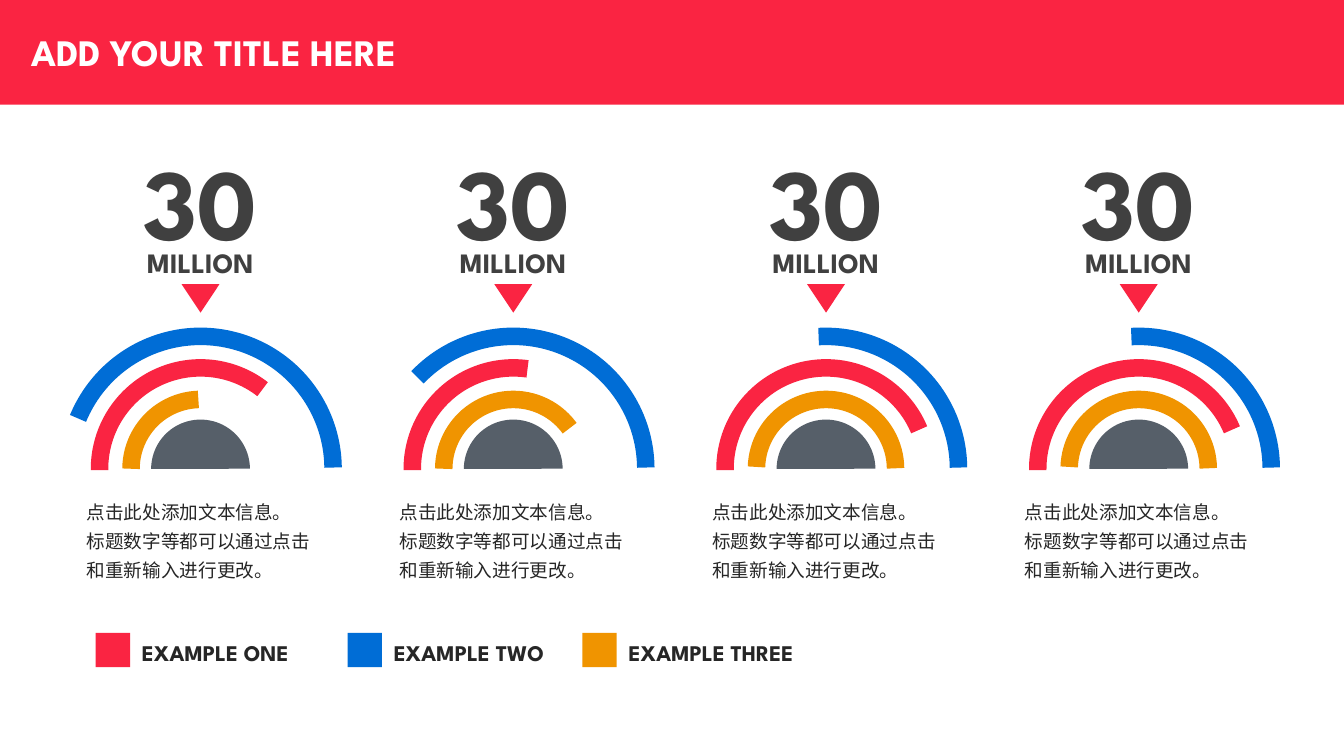
from lxml import etree
from pptx import Presentation
from pptx.dml.color import RGBColor
from pptx.enum.shapes import MSO_SHAPE
from pptx.enum.text import MSO_ANCHOR, PP_ALIGN
from pptx.oxml.ns import qn
from pptx.util import Pt

RECTANGLE, TRIANGLE = MSO_SHAPE.RECTANGLE, MSO_SHAPE.ISOSCELES_TRIANGLE
ARC, PIE = MSO_SHAPE.ARC, MSO_SHAPE.PIE
LEFT, CENTER = PP_ALIGN.LEFT, PP_ALIGN.CENTER
TOP, MIDDLE = MSO_ANCHOR.TOP, MSO_ANCHOR.MIDDLE

LATIN, CHINESE = "League Spartan", "Noto Sans CJK SC"
RED, BLUE, ORANGE = "FA2442", "006DD6", "F09400"
SLATE, GRAY, DARK, WHITE = "565F69", "404040", "262626", "FFFFFF"

TITLE = "ADD YOUR TITLE HERE"
CAPTION = ["点击此处添加文本信息。", "标题数字等都可以通过点击和重新输入进行更改。"]
# Start and end angles of the orange, red and blue arcs, from inside out
GAUGES = [
    ("30", "MILLION", [(90.2, 178.2), (89.3, 217.9), (112.4, 269.4)]),
    ("30", "MILLION", [(90.2, 234.1), (89.3, 188.1), (133.7, 269.4)]),
    ("30", "MILLION", [(91.7, 269.4), (89.3, 247.2), (176.8, 269.4)]),
    ("30", "MILLION", [(91.7, 269.4), (89.3, 247.2), (176.8, 269.4)]),
]
LEGEND = [  # label, color, left, label width
    ("EXAMPLE ONE", RED, 68.4, 137),
    ("EXAMPLE TWO", BLUE, 248.4, 137),
    ("EXAMPLE THREE", ORANGE, 416.2, 161.3),
]

FIRST_CENTER, PITCH, CENTER_Y = 143.3, 223.5, 335
CORE_SIZE, INNER_ARC, ARC_STEP, ARC_WIDTH = 70.6, 99.4, 45, 12.5


def color(value):
    return RGBColor.from_string(value)


def add_shape(kind, left, top, width, height, fill=None):
    shape = page.shapes.add_shape(kind, Pt(left), Pt(top), Pt(width), Pt(height))
    shape.shadow.inherit = False
    shape.line.fill.background()
    if fill:
        shape.fill.solid()
        shape.fill.fore_color.rgb = color(fill)
    else:
        shape.fill.background()
    return shape


def add_round(kind, center, size, angles, rotation, fill=None):
    """Add an arc or pie centred on the gauge, with its angles in degrees."""
    shape = add_shape(kind, center - size / 2, CENTER_Y - size / 2, size, size, fill)
    shape.rotation = rotation
    for index, angle in enumerate(angles):
        shape.adjustments[index] = angle * 0.6
    return shape


def add_text(lines, left, top, width, height, size, ink, name=LATIN, bold=True,
             align=LEFT, anchor=TOP, spacing=None, wrap=True):
    box = page.shapes.add_textbox(Pt(left), Pt(top), Pt(width), Pt(height))
    frame = box.text_frame
    frame.word_wrap = wrap
    frame.vertical_anchor = anchor
    frame.text = "\n".join(lines)
    for para in frame.paragraphs:
        para.alignment = align
        para.line_spacing = spacing
        font = para.font
        font.name, font.size, font.bold = name, Pt(size), bold
        font.color.rgb = color(ink)
        properties = para._p.pPr.find(qn("a:defRPr"))
        etree.SubElement(properties, qn("a:ea")).set("typeface", name)


def add_gauge(center, number, unit, spans):
    add_round(PIE, center, CORE_SIZE, (0, 179.5), 180, SLATE)
    for ring, (angles, ink) in enumerate(zip(spans, (ORANGE, RED, BLUE))):
        arc = add_round(ARC, center, INNER_ARC + ring * ARC_STEP, angles, 90)
        arc.line.color.rgb = color(ink)
        arc.line.width = Pt(ARC_WIDTH)
    pointer = add_shape(TRIANGLE, center - 13.5, 203, 27, 20.3, RED)
    pointer.rotation = 180
    add_text([unit], center - 46.8, 172, 93.6, 31.7, 20, GRAY,
             align=CENTER, wrap=False)
    add_text([number], center - 47.9, 96.5, 95.8, 94.3, 72, GRAY,
             align=CENTER, wrap=False)
    add_text(CAPTION, center - 88.4, 349.2, 176.4, 70.6, 13.3, DARK,
             name=CHINESE, bold=False, spacing=1.3)


deck = Presentation()
deck.slide_width, deck.slide_height = Pt(960.5), Pt(540)
page = deck.slides.add_slide(deck.slide_layouts[6])

add_shape(RECTANGLE, 0, 0, 960.5, 74.7, RED)
add_text([TITLE], 15.1, 15.8, 289, 42.5, 26.7, WHITE, anchor=MIDDLE)
for column, gauge in enumerate(GAUGES):
    add_gauge(FIRST_CENTER + column * PITCH, *gauge)
for label, fill, left, width in LEGEND:
    add_shape(RECTANGLE, left, 452, 24.6, 24.6, fill)
    add_text([label], left + 26, 447.1, width, 32.4, 16, DARK, spacing=1.3)

deck.save("out.pptx")
